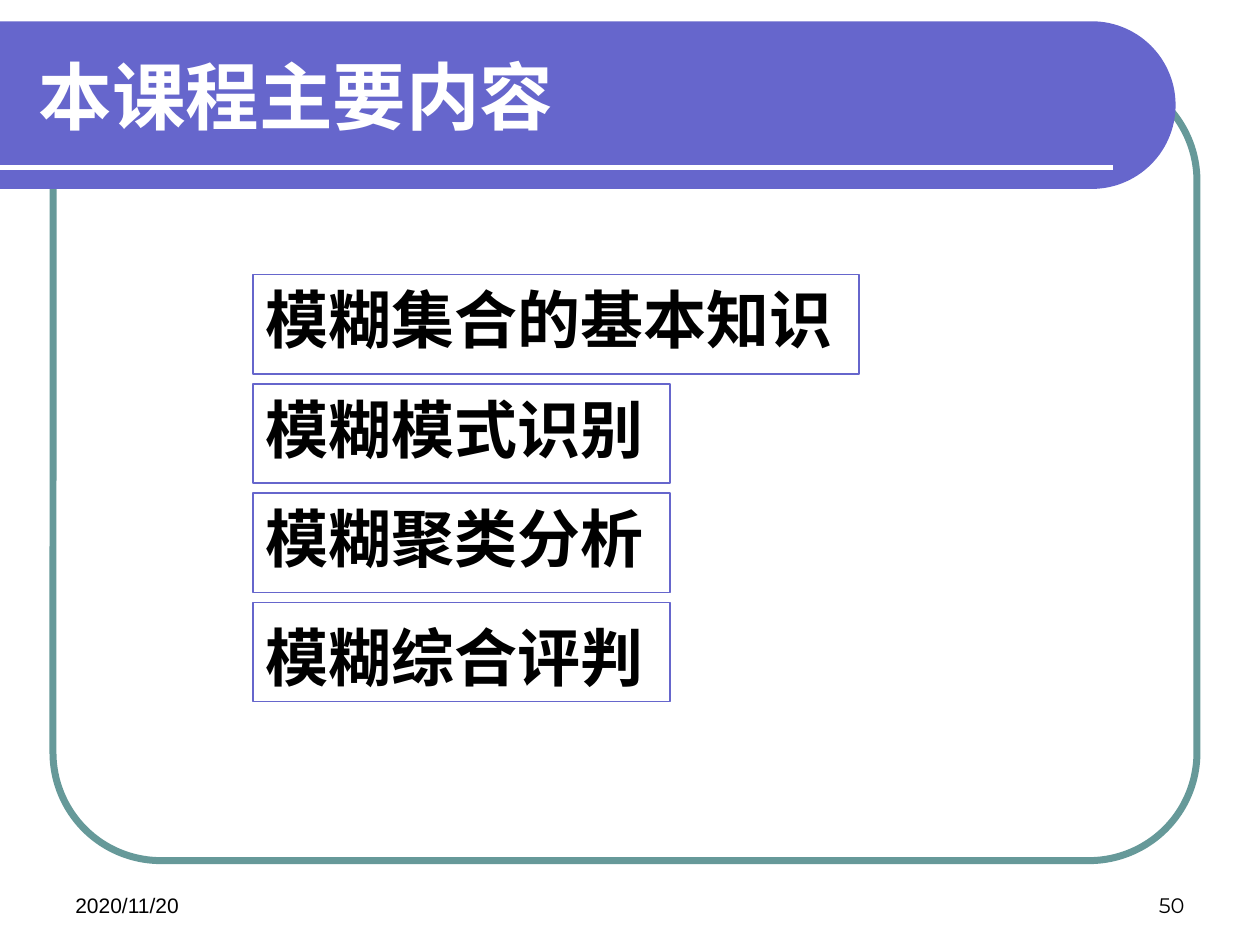
import math

from pptx import Presentation
from pptx import util as u
from pptx.dml.color import RGBColor
from pptx.enum import shapes, text
from pptx.oxml.ns import qn
from lxml import etree

Cm, Pt = u.Cm, u.Pt
COLORS = {"banner": "6666CC", "frame": "669999", "light": "FFFFFF", "ink": "000000"}
TOPICS = [  # wording, box width, text width, drop of the text inside its box
    ("模糊集合的基本知识", 12.22, 12.19, 0),
    ("模糊模式识别", 8.41, 8.2, 0),
    ("模糊聚类分析", 8.41, 8.2, 0),
    ("模糊综合评判", 8.41, 8.41, 0.2),
]


def rgb(name):
    return RGBColor.from_string(COLORS[name])


def write(sp, wording, size, color="ink", font="Arial", bold=False,
          align=text.PP_ALIGN.LEFT, anchor=text.MSO_ANCHOR.TOP):
    tf = sp.text_frame
    tf.word_wrap = True
    tf.auto_size = text.MSO_AUTO_SIZE.NONE
    tf.vertical_anchor = anchor
    p = tf.paragraphs[0]
    p.alignment = align
    r = p.add_run()
    r.text = wording
    r.font.size, r.font.name, r.font.bold = Pt(size), font, bold
    r.font.color.rgb = rgb(color)


def add_text(s, box, wording, size, **style):
    sp = s.shapes.add_textbox(*map(Cm, box))
    write(sp, wording, size, **style)


def add_outline(s, kind, box, color, weight):
    sp = s.shapes.add_shape(kind, *map(Cm, box))
    sp.shadow.inherit = False
    sp.fill.background()
    sp.line.color.rgb = rgb(color)
    sp.line.width = Pt(weight)
    return sp


def add_banner(s, box):
    """Band with a half-round right end and a white rule near its foot."""
    x, y, w, h = box
    radius = h / 2
    cx, cy = x + w - radius, y + radius
    angles = [math.radians(a) for a in range(-90, 91, 3)]
    arc = [(Cm(cx + radius * math.cos(a)), Cm(cy + radius * math.sin(a))) for a in angles]
    fb = s.shapes.build_freeform(Cm(x), Cm(y))
    fb.add_line_segments(arc + [(Cm(x), Cm(y + h))], close=True)
    sp = fb.convert_to_shape()
    sp.shadow.inherit = False
    sp.fill.solid()
    sp.fill.fore_color.rgb = rgb("banner")
    sp.line.fill.background()

    rule_y = Cm(y + h - 0.43)
    rule = s.shapes.add_connector(shapes.MSO_CONNECTOR.STRAIGHT,
                                  Cm(x), rule_y, Cm(x + w - 1.27), rule_y)
    rule.line.color.rgb = rgb("light")
    rule.line.width = Pt(3)
    etree.SubElement(rule._element.spPr, qn("a:effectLst"))


def add_title(s, box, wording):
    sp = s.shapes.title
    sp.left, sp.top, sp.width, sp.height = map(Cm, box)
    write(sp, wording, 42, color="light", bold=True, anchor=text.MSO_ANCHOR.MIDDLE)
    s.shapes._spTree.append(sp._element)  # bring in front of the banner


def add_topics(s, box):
    """Stack of outlined topics, evenly spread over the height of the box."""
    x, y, _, h = box
    gap = 0.2
    row_h = (h - gap * (len(TOPICS) - 1)) / len(TOPICS)
    for i, (wording, box_w, text_w, drop) in enumerate(TOPICS):
        top = y + i * (row_h + gap)
        add_text(s, (x, top + drop, text_w, 1.78), wording, 36, bold=True)
        add_outline(s, shapes.MSO_SHAPE.RECTANGLE, (x, top, box_w, row_h), "banner", 0.75)


def add_footer(s, box):
    x, y, w, h = box
    part = 5.92
    bottom = text.MSO_ANCHOR.BOTTOM
    add_text(s, (x, y, part, h), "2020/11/20", 12, anchor=bottom)
    add_text(s, (x + w - part, y, part, h), "50", 12, font="Montserrat",
             align=text.PP_ALIGN.RIGHT, anchor=bottom)


def main():
    prs = Presentation()
    prs.slide_width, prs.slide_height = Cm(25.4), Cm(19.05)
    s = prs.slides.add_slide(prs.slide_layouts[5])
    frame = add_outline(s, shapes.MSO_SHAPE.ROUNDED_RECTANGLE,
                        (1.07, 1.47, 23.06, 15.88), "frame", 4)
    frame.adjustments[0] = 0.137
    add_banner(s, (0, 0.43, 23.7, 3.38))
    add_footer(s, (1.27, 17.35, 22.86, 1.27))
    add_title(s, (0.53, 0.64, 22.28, 2.54), "本课程主要内容")
    add_topics(s, (5.1, 5.54, 12.22, 8.6))
    prs.save("out.pptx")


if __name__ == "__main__":
    main()
